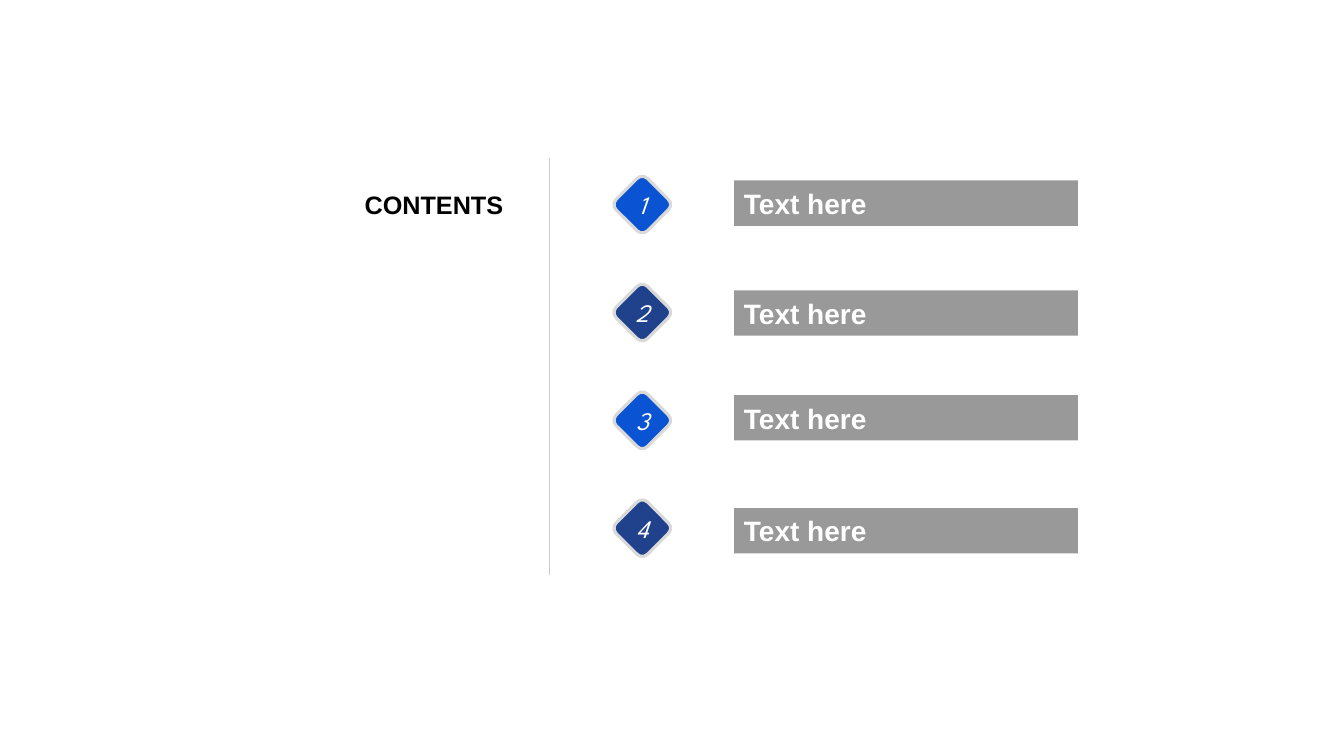
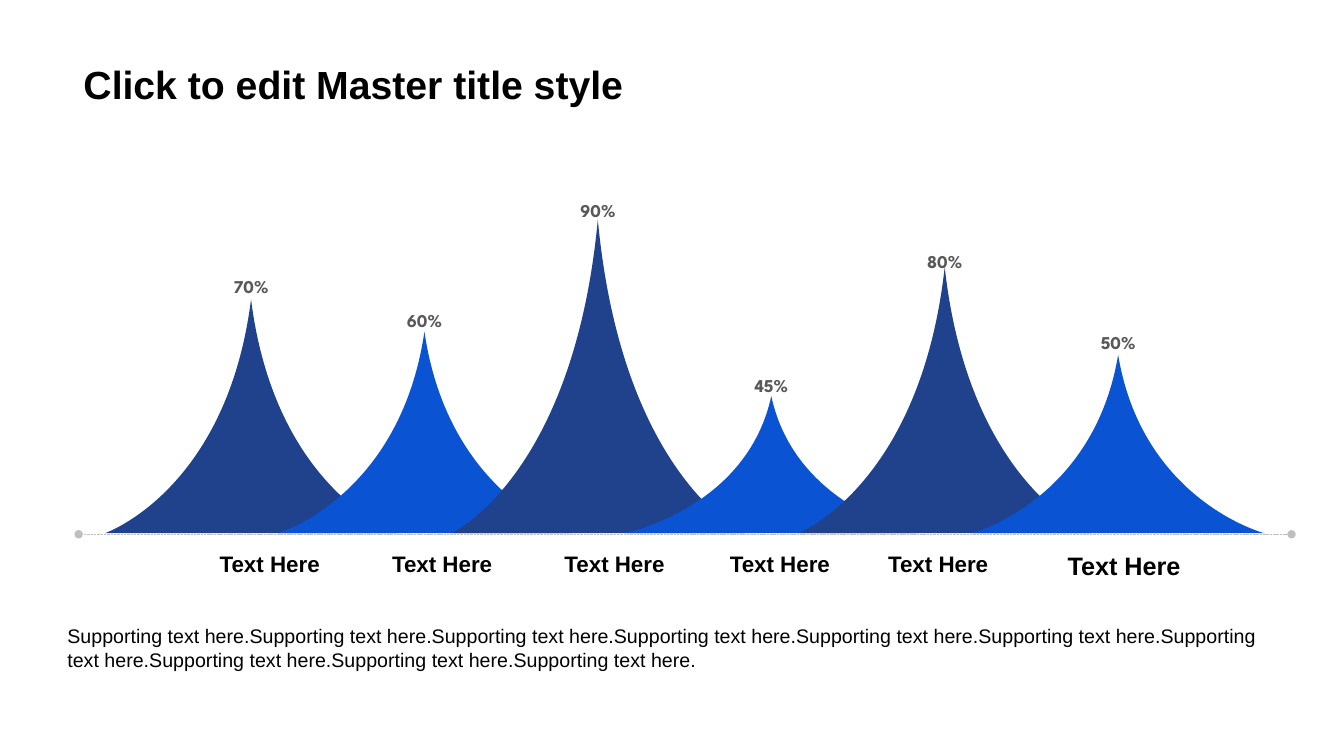
import pptx
import pptx.dml.color
import pptx.enum.dml
import pptx.enum.shapes
import pptx.enum.text
import pptx.oxml.ns
import pptx.util
from lxml import etree

Inches = pptx.util.Inches
Pt = pptx.util.Pt
RGBColor = pptx.dml.color.RGBColor
PRESET = pptx.enum.shapes.MSO_SHAPE
ALIGN = pptx.enum.text.PP_ALIGN
ANCHOR = pptx.enum.text.MSO_ANCHOR
qn = pptx.oxml.ns.qn

# Shared style
BLACK = RGBColor(0x00, 0x00, 0x00)
WHITE = RGBColor(0xFF, 0xFF, 0xFF)
NAVY = RGBColor(0x20, 0x42, 0x8D)
BLUE = RGBColor(0x0A, 0x54, 0xD3)
BAR_GRAY = RGBColor(0x99, 0x99, 0x99)
DIVIDER_GRAY = RGBColor(0xCC, 0xCC, 0xCC)
OUTLINE_GRAY = RGBColor(0xD9, 0xD9, 0xD9)
AXIS_GRAY = RGBColor(0xBF, 0xBF, 0xBF)
VALUE_GRAY = RGBColor(0x59, 0x59, 0x59)
BODY_FONT = "Arial"
NUMBER_FONT = "League Spartan"

# Contents slide: tops of the text bars, and the even grid of diamonds
BAR_TOPS = (1.79, 2.88, 3.92, 5.04)
DIAMOND_LEFT, DIAMOND_TOP, DIAMOND_SIZE, DIAMOND_PITCH = 6.15, 1.81, 0.44, 1.07

# Peaks slide: value, peak height, value top, label left, label size
PEAKS = (
    ("70%", 2.32, 2.68, 2.08, 16),
    ("60%", 2.00, 3.02, 3.79, 16),
    ("90%", 3.11, 1.93, 5.50, 16),
    ("45%", 1.36, 3.67, 7.14, 16),
    ("80%", 2.64, 2.44, 8.71, 16),
    ("50%", 1.77, 3.24, 10.49, 18),
)
FIRST_APEX, PEAK_PITCH, PEAK_BASE = 2.49, 1.72, 5.29
PEAK_HALF_WIDTH, PEAK_BEND = 1.45, 0.24


def write_text(box, text, size, color, font=BODY_FONT, bold=False, italic=False,
               align=ALIGN.LEFT, anchor=ANCHOR.TOP):
    frame = box.text_frame
    frame.word_wrap = True
    frame.vertical_anchor = anchor
    para = frame.paragraphs[0]
    para.text = text
    para.alignment = align
    para.font.name = font
    para.font.size = Pt(size)
    para.font.bold = bold
    para.font.italic = italic
    para.font.color.rgb = color


def add_text(page, left, top, width, height, text, size, color, **style):
    box = page.shapes.add_textbox(Inches(left), Inches(top), Inches(width), Inches(height))
    write_text(box, text, size, color, **style)
    return box


def paint(shape, fill):
    shape.shadow.inherit = False
    shape.fill.solid()
    shape.fill.fore_color.rgb = fill
    shape.line.fill.background()


def add_shape(page, preset, left, top, width, height, fill):
    shape = page.shapes.add_shape(
        preset, Inches(left), Inches(top), Inches(width), Inches(height))
    paint(shape, fill)
    return shape


def add_line(page, x1, y1, x2, y2, color, width):
    line = page.shapes.add_connector(
        pptx.enum.shapes.MSO_CONNECTOR.STRAIGHT,
        Inches(x1), Inches(y1), Inches(x2), Inches(y2))
    line.line.color.rgb = color
    line.line.width = Pt(width)
    etree.SubElement(line._element.spPr, qn("a:effectLst"))
    return line


def add_title(page, text):
    box = add_text(page, 0.73, 0, 11.87, 1.12, text, 28, BLACK,
                   bold=True, anchor=ANCHOR.BOTTOM)
    box.text_frame.paragraphs[0].line_spacing = 0.9


def add_text_bar(page, top, text):
    bar = add_shape(page, PRESET.RECTANGLE, 7.28, top, 3.41, 0.45, BAR_GRAY)
    write_text(bar, text, 20, WHITE, bold=True, anchor=ANCHOR.MIDDLE)


def add_numbered_diamond(page, number):
    top = DIAMOND_TOP + (number - 1) * DIAMOND_PITCH
    diamond = add_shape(page, PRESET.ROUNDED_RECTANGLE, DIAMOND_LEFT, top,
                        DIAMOND_SIZE, DIAMOND_SIZE, BLUE if number % 2 else NAVY)
    diamond.rotation = 45
    diamond.line.color.rgb = OUTLINE_GRAY
    diamond.line.width = Pt(2.25)
    box = add_text(page, DIAMOND_LEFT + 0.05, top + 0.02, 0.34, 0.4, str(number), 18,
                   WHITE, font=NUMBER_FONT, italic=True, align=ALIGN.CENTER)
    box.text_frame.margin_left = box.text_frame.margin_right = 0


def curve_side(side, points):
    """Turn one straight side of an outline into a cubic curve."""
    curve = etree.Element(qn("a:cubicBezTo"))
    for x, y in points:
        etree.SubElement(curve, qn("a:pt"), x=str(Inches(x)), y=str(Inches(y)))
    side.getparent().replace(side, curve)


def add_peak(page, apex, height, color):
    left, right = apex - PEAK_HALF_WIDTH, apex + PEAK_HALF_WIDTH
    builder = page.shapes.build_freeform(Inches(right), Inches(PEAK_BASE))
    builder.add_line_segments(
        [(Inches(apex), Inches(PEAK_BASE - height)),
         (Inches(left), Inches(PEAK_BASE)),
         (Inches(right), Inches(PEAK_BASE))], close=True)
    peak = builder.convert_to_shape()
    paint(peak, color)

    # Both sides sweep up from the base corners to the apex
    middle, width, bend_y = PEAK_HALF_WIDTH, 2 * PEAK_HALF_WIDTH, 0.82 * height
    rising, falling = list(peak._element.spPr.iter(qn("a:lnTo")))[:2]
    curve_side(rising, [(width, height), (middle + PEAK_BEND, bend_y), (middle, 0)])
    curve_side(falling, [(middle - PEAK_BEND, bend_y), (0, height), (0, height)])


def add_axis(page):
    axis = add_line(page, 0.78, 5.3, 12.81, 5.3, AXIS_GRAY, 0.25)
    axis.line.dash_style = pptx.enum.dml.MSO_LINE.SQUARE_DOT
    line_xml = axis.line._get_or_add_ln()
    for end in ("a:headEnd", "a:tailEnd"):
        etree.SubElement(line_xml, qn(end), type="oval")


def build_contents(page):
    for top in BAR_TOPS:
        add_text_bar(page, top, "Text here")
    add_line(page, 5.45, 1.57, 5.45, 5.7, DIVIDER_GRAY, 0.5)
    heading = add_shape(page, PRESET.RECTANGLE, 3.04, 1.83, 2.05, 0.89, WHITE)
    write_text(heading, "CONTENTS", 18, BLACK, bold=True, align=ALIGN.RIGHT)
    for number in range(1, len(BAR_TOPS) + 1):
        add_numbered_diamond(page, number)


def build_peaks(page):
    # Peaks and axis lie behind the values and labels
    apexes = [FIRST_APEX + index * PEAK_PITCH for index in range(len(PEAKS))]
    for index, (apex, peak) in enumerate(zip(apexes, PEAKS)):
        add_peak(page, apex, peak[1], BLUE if index % 2 else NAVY)
    add_axis(page)
    for apex, (value, _, value_top, label_left, label_size) in zip(apexes, PEAKS):
        add_text(page, apex - 0.52, value_top, 1.04, 0.32, value, 12.9, VALUE_GRAY,
                 font=NUMBER_FONT, bold=True, align=ALIGN.CENTER)
        add_text(page, label_left, 5.41, 1.6, 0.4, "Text Here", label_size, BLACK, bold=True)
    add_text(page, 0.57, 6.14, 12.24, 0.62, "Supporting text here." * 10, 14, BLACK)
    add_title(page, "Click to edit Master title style")


def main():
    deck = pptx.Presentation()
    deck.slide_width = Inches(13.33)
    deck.slide_height = Inches(7.5)
    for build in (build_contents, build_peaks):
        build(deck.slides.add_slide(deck.slide_layouts[6]))
    deck.save("out.pptx")


if __name__ == "__main__":
    main()
